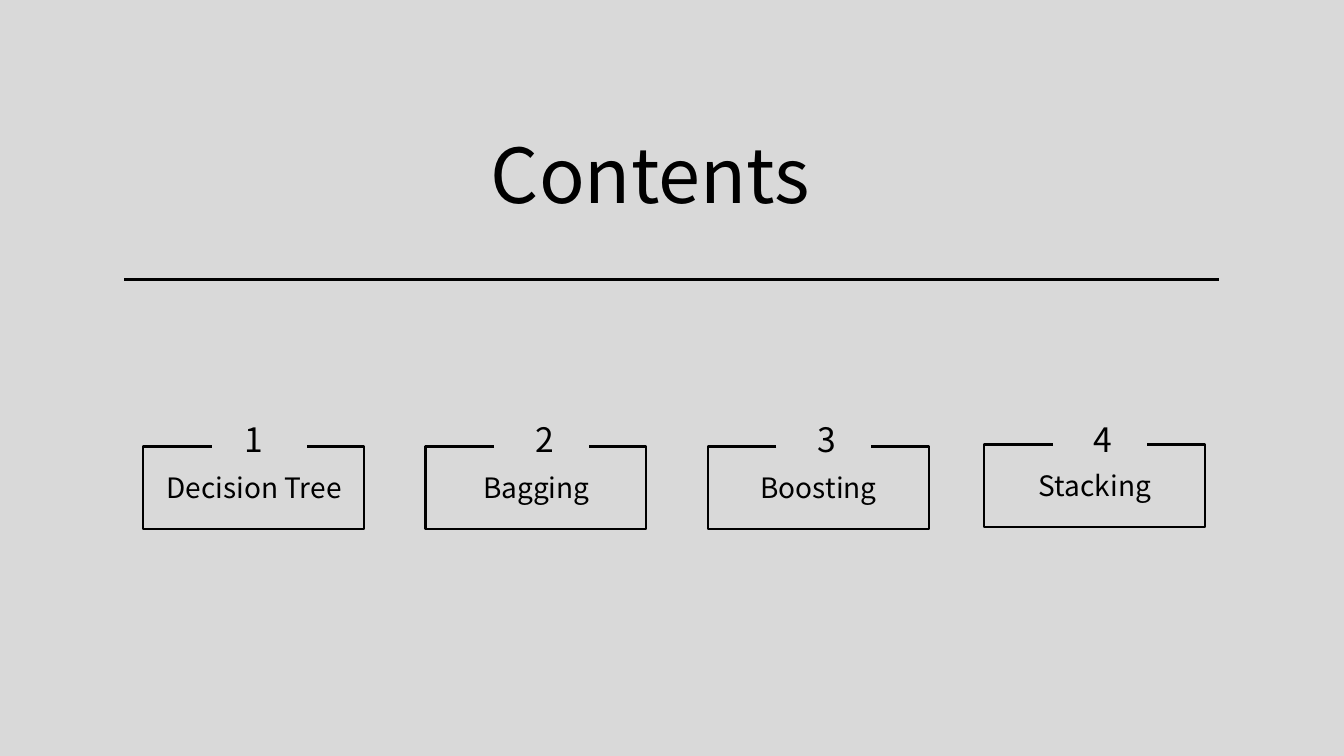
"""Build a contents slide with four numbered, open-topped frames."""
from lxml import etree
from pptx import Presentation
from pptx.dml.color import RGBColor
from pptx.enum.shapes import MSO_CONNECTOR
from pptx.enum.text import MSO_AUTO_SIZE, PP_ALIGN
from pptx.oxml.ns import qn
from pptx.util import Inches, Pt

STRAIGHT = MSO_CONNECTOR.STRAIGHT
GROW = MSO_AUTO_SIZE.SHAPE_TO_FIT_TEXT
LEFT, CENTER = PP_ALIGN.LEFT, PP_ALIGN.CENTER

FONT = "Noto Sans CJK SC"
BLACK, GRAY = "000000", "D9D9D9"
FRAME_W, FRAME_H = 2.19, 0.82
GAP_START, GAP_END = 0.68, 1.62

# title, frame left, frame top, number left
TOPICS = [
    ("Decision Tree", 1.42, 4.43, 2.16),
    ("Bagging", 4.22, 4.43, 5.04),
    ("Boosting", 7.02, 4.43, 7.84),
    ("Stacking", 9.76, 4.41, 10.58),
]


def rgb(color):
    return RGBColor.from_string(color)


def add_text(slide, text, x, y, w, h, size=20, color=BLACK, align=CENTER):
    sp = slide.shapes.add_textbox(Inches(x), Inches(y), Inches(w), Inches(h))
    tf = sp.text_frame
    tf.word_wrap = True
    tf.auto_size = GROW
    p = tf.paragraphs[0]
    p.alignment = align
    r = p.add_run()
    r.text = text
    r.font.name = FONT
    r.font.size = Pt(size)
    r.font.color.rgb = rgb(color)


def add_rule(slide, x1, x2, y, width=2, color=BLACK):
    line = slide.shapes.add_connector(
        STRAIGHT, Inches(x1), Inches(y), Inches(x2), Inches(y))
    line.line.color.rgb = rgb(color)
    line.line.width = Pt(width)
    etree.SubElement(line._element.spPr, qn("a:effectLst"))


def add_open_frame(slide, x, y, width=1.5, color=BLACK):
    right, bottom = x + FRAME_W, y + FRAME_H
    corners = [(x, y), (x, bottom), (right, bottom), (right, y), (x + GAP_END, y)]
    builder = slide.shapes.build_freeform(Inches(x + GAP_START), Inches(y))
    builder.add_line_segments(
        [(Inches(px), Inches(py)) for px, py in corners], close=False)
    sp = builder.convert_to_shape()
    sp.shadow.inherit = False
    sp.fill.background()
    sp.line.color.rgb = rgb(color)
    sp.line.width = Pt(width)


def add_topic(slide, number, title, x, y, number_x):
    add_open_frame(slide, x, y)
    add_text(slide, str(number), number_x, 4.11, 0.72, 0.5, size=24)
    add_text(slide, title, x + 0.08, y + 0.19, 2.04, 0.44)


def main():
    prs = Presentation()
    prs.slide_width, prs.slide_height = Inches(13.33), Inches(7.5)
    slide = prs.slides.add_slide(prs.slide_layouts[6])
    fill = slide.background.fill
    fill.solid()
    fill.fore_color.rgb = rgb(GRAY)

    add_text(slide, "Contents", 4.77, 1.22, 3.66, 1.01, size=54, align=LEFT)
    for number, topic in enumerate(TOPICS, start=1):
        add_topic(slide, number, *topic)
    add_rule(slide, 1.23, 12.09, 2.77)
    prs.save("out.pptx")


if __name__ == "__main__":
    main()
